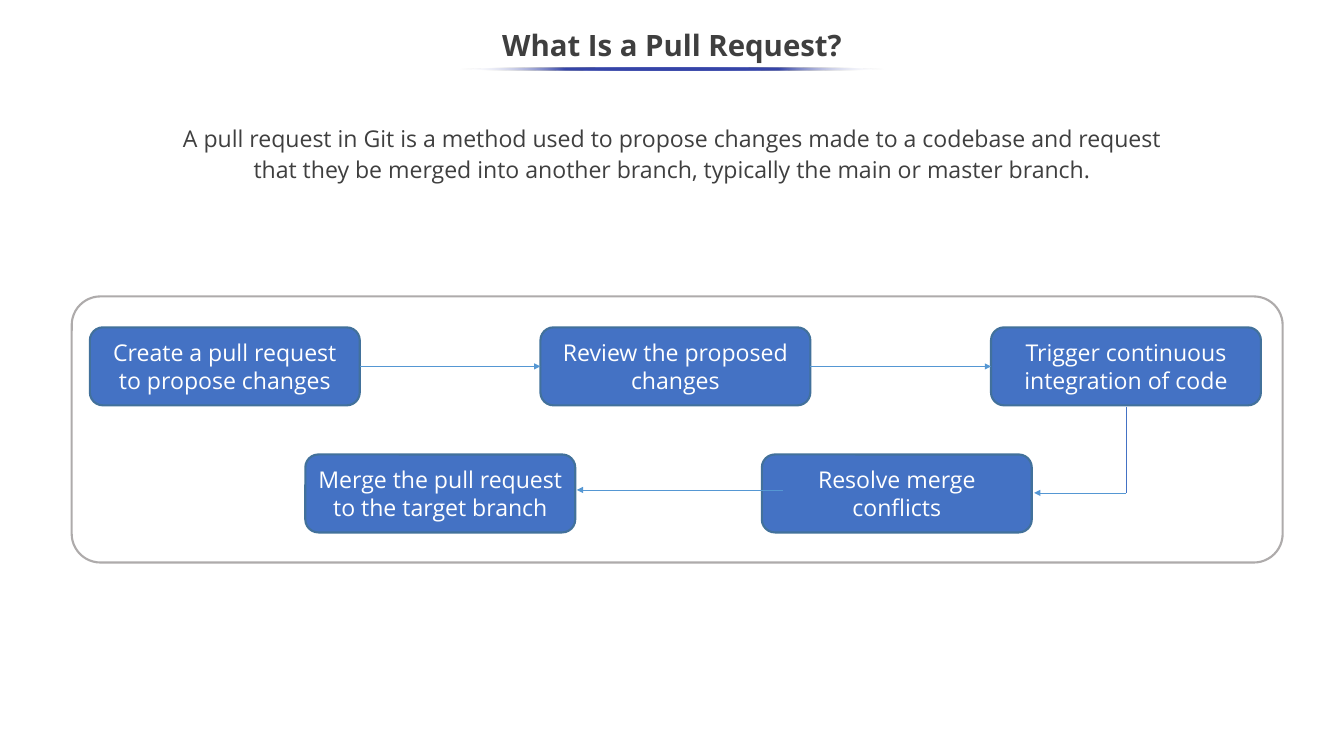
from lxml import etree
from pptx import Presentation
from pptx.dml.color import RGBColor
from pptx.enum import shapes, text
from pptx.oxml import parse_xml
from pptx.oxml.ns import nsdecls, qn
from pptx.util import Cm, Pt

COLORS = {"ink": "3F3F3F", "white": "FFFFFF", "step": "4472C4", "step_edge": "42719B",
          "frame": "AEABAB", "arrow": "5597D3", "accent": "3645A9"}
RGB = {name: RGBColor.from_string(value) for name, value in COLORS.items()}
STEP_WIDTH, STEP_HEIGHT = 9.07, 2.62

deck = Presentation()
deck.slide_width, deck.slide_height = Cm(45.16), Cm(25.4)
page = deck.slides.add_slide(deck.slide_layouts[6])


def write(box, words, size, color, bold=False, spacing=None):
    frame = box.text_frame
    frame.word_wrap = True
    para = frame.paragraphs[0]
    para.alignment = text.PP_ALIGN.CENTER
    para.line_spacing = spacing
    span = para.add_run()
    span.text = words
    span.font.name, span.font.size, span.font.bold = "Open Sans", Pt(size), bold
    span.font.color.rgb = RGB[color]
    return frame


def connect(start, end, color="arrow", width=0.75, arrow=True):
    line = page.shapes.add_connector(shapes.MSO_CONNECTOR.STRAIGHT,
                                     *(Cm(value) for value in start + end))
    line.line.color.rgb = RGB[color]
    line.line.width = Pt(width)
    if arrow:
        etree.SubElement(line.line._get_or_add_ln(), qn("a:tailEnd"), type="triangle")
    etree.SubElement(line._element.spPr, qn("a:effectLst"))
    return line


# Title and introduction
title = page.shapes.add_textbox(Cm(0), Cm(0.64), Cm(45.16), Cm(1.9))
write(title, "What Is a Pull Request?", 28, "ink", True, 0.9).vertical_anchor = text.MSO_ANCHOR.MIDDLE
intro = page.shapes.add_textbox(Cm(5.79), Cm(3.91), Cm(33.58), Cm(2.41))
write(intro, "A pull request in Git is a method used to propose changes made to a codebase and request "
      "that they be merged into another branch, typically the main or master branch.",
      22, "ink", spacing=1.14)

# Title underline, fading out at both ends
underline = page.shapes.add_shape(shapes.MSO_SHAPE.OVAL, Cm(15.44), Cm(2.26), Cm(14.27), Cm(0.1))
underline.shadow.inherit = False
underline.line.fill.background()
stops = "".join(
    f'<a:gs pos="{place * 1000}"><a:srgbClr val="{COLORS[color]}"><a:alpha val="{alpha}"/></a:srgbClr></a:gs>'
    for place, color, alpha in [(0, "white", 0), (25, "accent", 100000), (50, "accent", 100000),
                                (75, "accent", 100000), (100, "white", 0)])
gradient = parse_xml(f'<a:gradFill {nsdecls("a")} rotWithShape="1"><a:gsLst>{stops}</a:gsLst>'
                     '<a:lin ang="10800000" scaled="0"/></a:gradFill>')
underline._element.spPr.find(qn("a:prstGeom")).addnext(gradient)

# Frame and steps, in order of the flow
rectangles = [
    (2.41, 9.96, 40.69, 8.94, 0.108, "white", "frame", ""),
    *((left, top, STEP_WIDTH, STEP_HEIGHT, 0.167, "step", "step_edge", words)
      for left, top, words in [
          (3.02, 11, "Create a pull request to propose changes"),
          (18.16, 11, "Review the proposed changes"),
          (33.3, 11, "Trigger continuous integration of code"),
          (25.6, 15.27, "Resolve merge conflicts"),
          (10.26, 15.27, "Merge the pull request to the target branch")]),
]
steps = []
for left, top, width, height, corner, fill, edge, words in rectangles:
    box = page.shapes.add_shape(shapes.MSO_SHAPE.ROUNDED_RECTANGLE,
                                Cm(left), Cm(top), Cm(width), Cm(height))
    box.adjustments[0] = corner
    box.shadow.inherit = False
    box.fill.solid()
    box.fill.fore_color.rgb = RGB[fill]
    box.line.color.rgb = RGB[edge]
    box.line.width = Pt(2)
    if words:
        write(box, words, 22, "white").vertical_anchor = text.MSO_ANCHOR.MIDDLE
        steps.append(box)

# Arrows along the upper row
for before, after in zip(steps[:2], steps[1:3]):
    line = connect((0, 0), (1, 1))
    line.begin_connect(before, 3)
    line.end_connect(after, 1)

# Bent arrow down to the lower row, then on to the merge
connect((37.84, 13.67), (37.84, 16.56), "step", 0.5, arrow=False)
connect((37.84, 16.56), (34.75, 16.56))
connect((26.31, 16.46), (19.38, 16.46))

deck.save("out.pptx")
